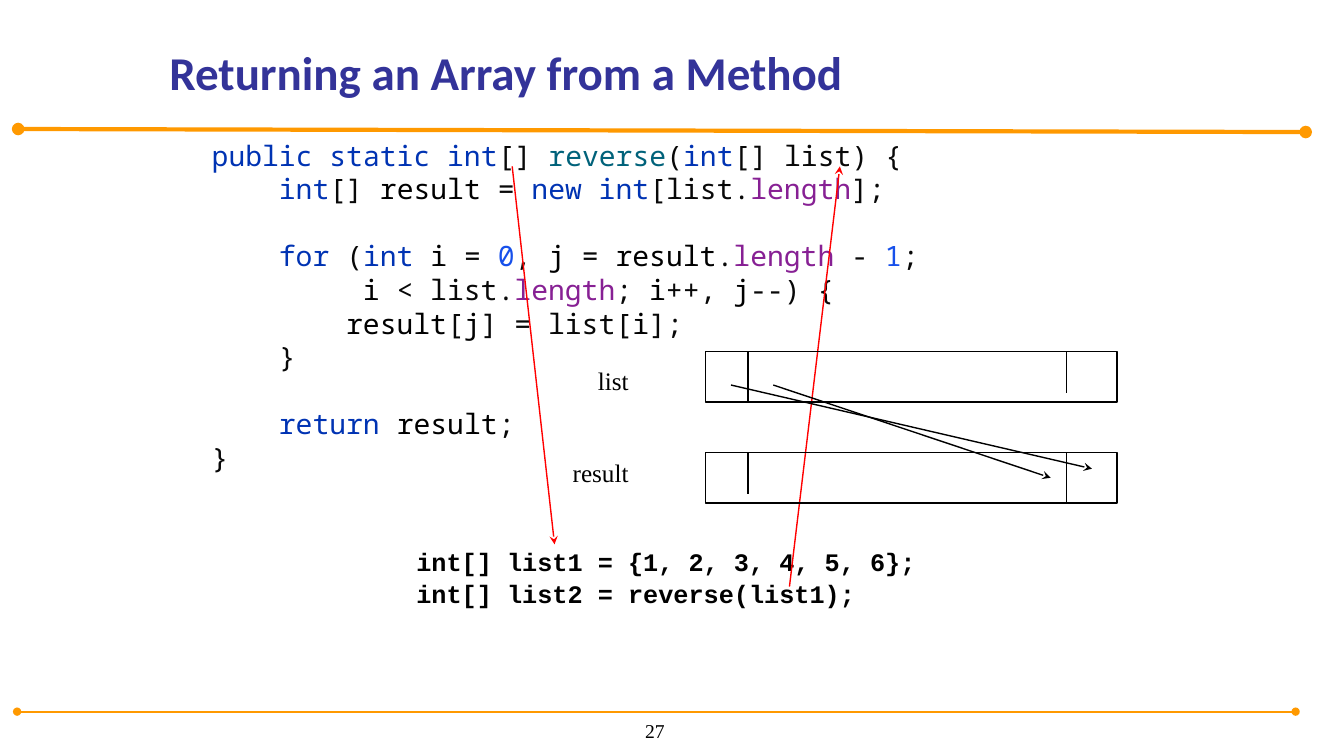
from lxml import etree
from pptx import Presentation
from pptx.dml.color import RGBColor
from pptx.enum.shapes import MSO_CONNECTOR, MSO_SHAPE
from pptx.enum.text import MSO_ANCHOR, PP_ALIGN
from pptx.oxml.ns import qn
from pptx.util import Inches, Pt

STRAIGHT = MSO_CONNECTOR.STRAIGHT
RECTANGLE = MSO_SHAPE.RECTANGLE
TOP, BOTTOM = MSO_ANCHOR.TOP, MSO_ANCHOR.BOTTOM
LEFT, CENTER = PP_ALIGN.LEFT, PP_ALIGN.CENTER

COLORS = {
    "title": "333399", "rule": "FF9900", "black": "000000", "call": "FF0000",
    "keyword": "0033B3", "code": "080808", "method": "00627A",
    "field": "872094", "number": "1750EB",
}
SERIF, MONO = "Times New Roman", "Noto Sans Mono"

TITLE = "Returning an Array from a Method"
PAGE_NUMBER = "27"
CODE = [
    (0, 0, [("public static int", "keyword"), ("[] ", "code"), ("reverse", "method"),
            ("(", "code"), ("int", "keyword"), ("[] list) {", "code")]),
    (4, 0, [("int", "keyword"), ("[] ", "code"), ("result ", "black"), ("= ", "code"),
            ("new int", "keyword"), ("[list.", "code"), ("length", "field"), ("];", "code")]),
    (4, 1, [("for ", "keyword"), ("(", "code"), ("int ", "keyword"), ("i ", "black"),
            ("= ", "code"), ("0", "number"), (", ", "code"), ("j ", "black"), ("= ", "code"),
            ("result", "black"), (".", "code"), ("length ", "field"), ("- ", "code"),
            ("1", "number"), (";", "code")]),
    (9, 0, [("i ", "black"), ("< list.", "code"), ("length", "field"), ("; ", "code"),
            ("i", "black"), ("++, ", "code"), ("j", "black"), ("--) {", "code")]),
    (8, 0, [("result", "black"), ("[", "code"), ("j", "black"), ("] = list[", "code"),
            ("i", "black"), ("];", "code")]),
    (4, 0, [("}", "code")]),
    (4, 1, [("return ", "keyword"), ("result", "black"), (";", "code")]),
    (0, 0, [("}", "code")]),
]
USAGE = ["int[] list1 = {1, 2, 3, 4, 5, 6};", "int[] list2 = reverse(list1);"]
CODE_SIZE, CODE_LINE = 20, 24
CODE_CHAR = 0.6 * CODE_SIZE

RULES = [((0.18, 1.28), (12.95, 1.31), 3), ((0.17, 7.06), (12.85, 7.06), 1.5)]
CALLS = [((7.83, 5.82), (8.33, 1.65)), ((5.08, 1.65), (5.5, 5.4))]
COPIES = [((7.25, 3.82), (10.83, 4.65)), ((7.67, 3.82), (10.42, 4.74))]

ARRAY_LEFT, ARRAY_WIDTH, ARRAY_HEIGHT = 7, 4.08, 0.5
DIVIDERS = (7.42, 10.58)
ARRAYS = [
    ("list", 3.49, (0.5, 0.41), (5.88, 3.57, 0.73, 0.38)),
    ("result", 4.49, (0.41, 0.5), (5.63, 4.49, 1.07, 0.38)),
]

prs = Presentation()
prs.slide_width, prs.slide_height = Inches(13.33), Inches(7.5)
slide = prs.slides.add_slide(prs.slide_layouts[6])


def rgb(color):
    return RGBColor.from_string(COLORS[color])


def add_text(box, lines, font, size, bold=False, anchor=TOP, align=LEFT, wrap=True):
    frame = slide.shapes.add_textbox(*map(Inches, box)).text_frame
    frame.word_wrap = wrap
    frame.vertical_anchor = anchor
    frame.margin_left = frame.margin_right = Inches(0.05)
    frame.margin_top = frame.margin_bottom = Inches(0.05)
    for index, pieces in enumerate(lines):
        paragraph = frame.add_paragraph() if index else frame.paragraphs[0]
        paragraph.alignment = align
        for text, color in pieces:
            run = paragraph.add_run()
            run.text = text
            run.font.name, run.font.size, run.font.bold = font, Pt(size), bold
            run.font.color.rgb = rgb(color)
    return frame.paragraphs


def add_line(start, end, color, width=1, head=None, tail=None):
    line = slide.shapes.add_connector(STRAIGHT, *map(Inches, start + end))
    line.line.color.rgb = rgb(color)
    line.line.width = Pt(width)
    outline = line.line._get_or_add_ln()
    for tag, kind in (("a:headEnd", head), ("a:tailEnd", tail)):
        if kind:
            etree.SubElement(outline, qn(tag)).set("type", kind)
    etree.SubElement(line._element.spPr, qn("a:effectLst"))


for start, end, width in RULES:
    add_line(start, end, "rule", width, "oval", "oval")
add_text((6.34, 7.1, 0.31, 0.31), [[(PAGE_NUMBER, "black")]], SERIF, 14,
         anchor=BOTTOM, align=CENTER, wrap=False)
add_text((1.63, 0.46, 11.86, 0.58), [[(TITLE, "title")]], "Calibri", 33.6,
         bold=True, anchor=BOTTOM)

code_lines = add_text((2.05, 1.32, 9.23, 3.75), [pieces for _, _, pieces in CODE],
                      MONO, CODE_SIZE)
for paragraph, (indent, gap, _) in zip(code_lines, CODE):
    paragraph.space_before = Pt(gap * CODE_LINE)
    paragraph._p.get_or_add_pPr().set("marL", str(int(Pt(indent * CODE_CHAR))))

for paragraph in add_text((4.08, 5.4, 7.33, 0.75), [[(text, "black")] for text in USAGE],
                          "Courier New", 18, bold=True):
    paragraph.line_spacing = 0.9
    paragraph.space_before = Pt(4)

for start, end in CALLS:
    add_line(start, end, "call", tail="stealth")

for name, top, depths, label_box in ARRAYS:
    array = slide.shapes.add_shape(
        RECTANGLE, *map(Inches, (ARRAY_LEFT, top, ARRAY_WIDTH, ARRAY_HEIGHT)))
    array.shadow.inherit = False
    array.fill.background()
    array.line.color.rgb = rgb("black")
    array.line.width = Pt(1)
    for x, depth in zip(DIVIDERS, depths):
        add_line((x, top), (x, top + depth), "black")
    label = add_text(label_box, [[(name, "black")]], SERIF, 18)
    label[0].space_before = Pt(10)

for start, end in COPIES:
    add_line(start, end, "black", tail="stealth")

prs.save("out.pptx")
